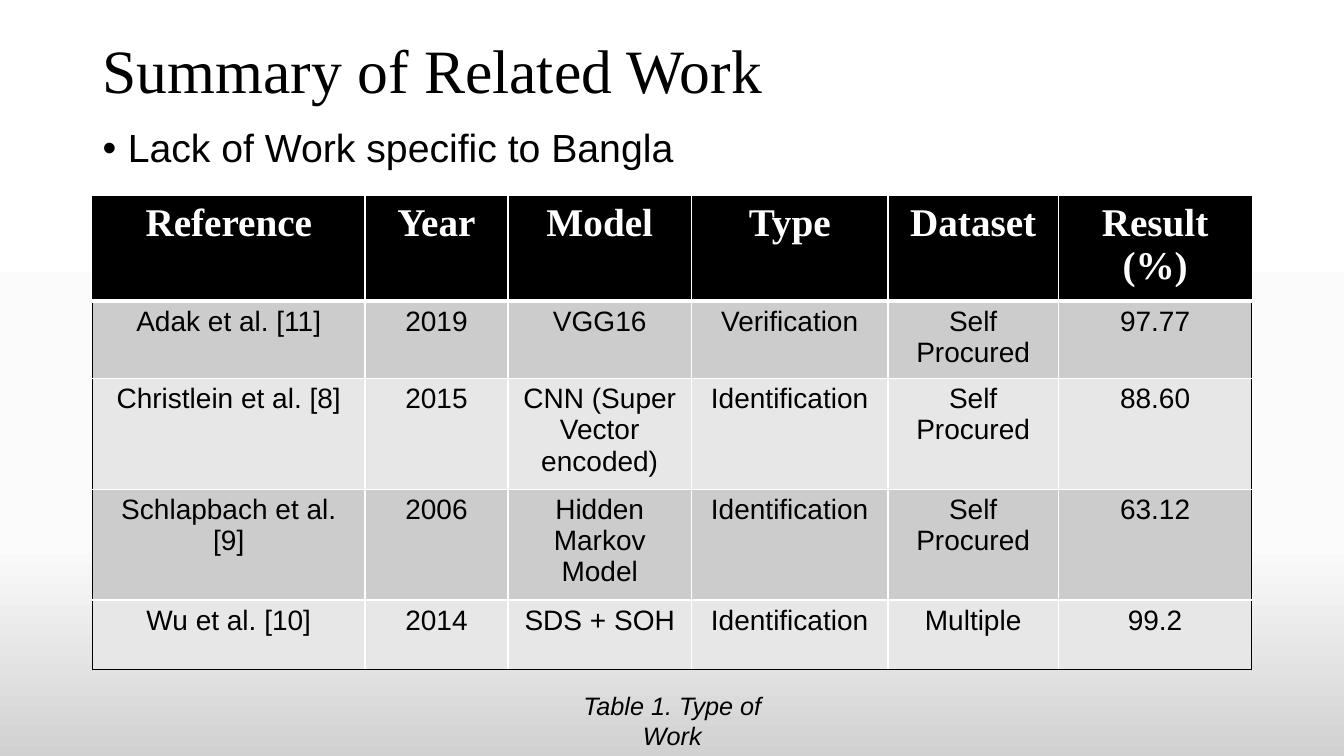
from copy import deepcopy

from lxml import etree
from pptx import Presentation
from pptx import util as u
from pptx.dml.color import RGBColor
from pptx.enum import text
from pptx.oxml import ns

WIDE, HIGH = u.Inches(13.333), u.Inches(7.5)
LEFT, SPAN = 6.9, 86.25  # percent of the slide's width

COLORS = {
    "ink": "000000",
    "paper": "FFFFFF",
    "odd": "CCCCCC",
    "even": "E7E7E7",
    "haze": "FBFBFB",
    "dusk": "D1D1D1",
}
FONTS = {
    "title": {"name": "Times New Roman", "size": 44, "color": "ink"},
    "point": {"name": "Arial", "size": 28, "color": "ink"},
    "head": {"name": "Times New Roman", "size": 28, "color": "paper", "bold": True},
    "cell": {"name": "Arial", "size": 20, "color": "ink", "bold": False},
    "note": {"name": "Arial", "size": 18, "color": "ink", "italic": True},
}
STOPS = [(0, "paper"), (0.72, "haze"), (1, "dusk")]
COLS = [2.7, 1.42, 1.82, 1.95, 1.69, 1.92]
ROWS = [
    ["Reference", "Year", "Model", "Type", "Dataset", "Result (%)"],
    ["Adak et al. [11]", "2019", "VGG16", "Verification", "Self Procured", "97.77"],
    ["Christlein et al. [8]", "2015", "CNN (Super Vector encoded)",
     "Identification", "Self Procured", "88.60"],
    ["Schlapbach et al. [9]", "2006", "Hidden Markov Model",
     "Identification", "Self Procured", "63.12"],
    ["Wu et al. [10]", "2014", "SDS + SOH", "Identification", "Multiple", "99.2"],
]


def rgb(name):
    return RGBColor.from_string(COLORS[name])


def place(x, y, w, h):
    """Turn percents of the slide into lengths."""
    return [int(part * side / 100) for part, side in zip((x, y, w, h), (WIDE, HIGH) * 2)]


def write(frame, words, style, **form):
    """Fill a text frame with one paragraph in a named style."""
    para = frame.paragraphs[0]
    for key, value in form.items():
        setattr(para, key, value)
    run = para.add_run()
    run.text = words
    for key, value in FONTS[style].items():
        if key == "color":
            run.font.color.rgb = rgb(value)
        else:
            setattr(run.font, key, u.Pt(value) if key == "size" else value)
    return para


def add_text(slide, box, words, style, anchor=text.MSO_ANCHOR.TOP, **form):
    frame = slide.shapes.add_textbox(*place(*box)).text_frame
    frame.word_wrap = True
    frame.vertical_anchor = anchor
    return write(frame, words, style, **form)


def add_dot(para, indent):
    props = para._p.get_or_add_pPr()
    props.set("marL", str(indent))
    props.set("indent", str(-indent))
    etree.SubElement(props, ns.qn("a:buFont"), typeface="Arial")
    etree.SubElement(props, ns.qn("a:buChar"), char="•")


def shade(slide):
    """Give the background its downward gradient."""
    fill = slide.background.fill
    fill.gradient()
    fill.gradient_angle = 270
    stops = slide.element.find(".//" + ns.qn("a:gsLst"))
    while len(stops) < len(STOPS):
        stops.append(deepcopy(stops[-1]))
    for stop, (spot, name) in zip(fill.gradient_stops, STOPS):
        stop.position = spot
        stop.color.rgb = rgb(name)


def edge(cell, side, name, width):
    props = cell._tc.get_or_add_tcPr()
    line = etree.SubElement(props, ns.qn("a:ln" + side), w=str(u.Pt(width)))
    solid = etree.SubElement(line, ns.qn("a:solidFill"))
    etree.SubElement(solid, ns.qn("a:srgbClr"), val=COLORS[name])


def add_cell(cell, words, row, col):
    """Black lines outside, white inside, a thick one below the head."""
    outer = {"L": col == 0, "R": col == len(COLS) - 1,
             "T": row == 0, "B": row == len(ROWS) - 1}
    for side, out in outer.items():
        thick = (row, side) in ((0, "B"), (1, "T"))
        edge(cell, side, "ink" if out else "paper", 3 if thick else 1)
    cell.fill.solid()
    cell.fill.fore_color.rgb = rgb("ink" if row == 0 else "odd" if row % 2 else "even")
    write(cell.text_frame, words, "cell" if row else "head",
          alignment=text.PP_ALIGN.CENTER)


def add_grid(slide, box):
    grid = slide.shapes.add_table(len(ROWS), len(COLS), *place(*box)).table
    for col, width in zip(grid.columns, COLS):
        col.width = u.Inches(width)
    for row, line in enumerate(ROWS):
        for col, words in enumerate(line):
            add_cell(grid.cell(row, col), words, row, col)


def main():
    deck = Presentation()
    deck.slide_width, deck.slide_height = WIDE, HIGH
    slide = deck.slides.add_slide(deck.slide_layouts[6])
    shade(slide)
    add_text(slide, (LEFT, 0.13, SPAN, 19.33), "Summary of Related Work", "title",
             text.MSO_ANCHOR.MIDDLE, line_spacing=0.9)
    point = add_text(slide, (LEFT, 16.4, SPAN, 63.47), "Lack of Work specific to Bangla",
                     "point", line_spacing=0.9, space_before=u.Pt(10))
    add_dot(point, u.Inches(0.25))
    add_grid(slide, (LEFT, 26, SPAN, 46))
    add_text(slide, (40.35, 90.67, 19.35, 5.33), "Table 1. Type of Work", "note",
             alignment=text.PP_ALIGN.CENTER)
    deck.save("out.pptx")


if __name__ == "__main__":
    main()
